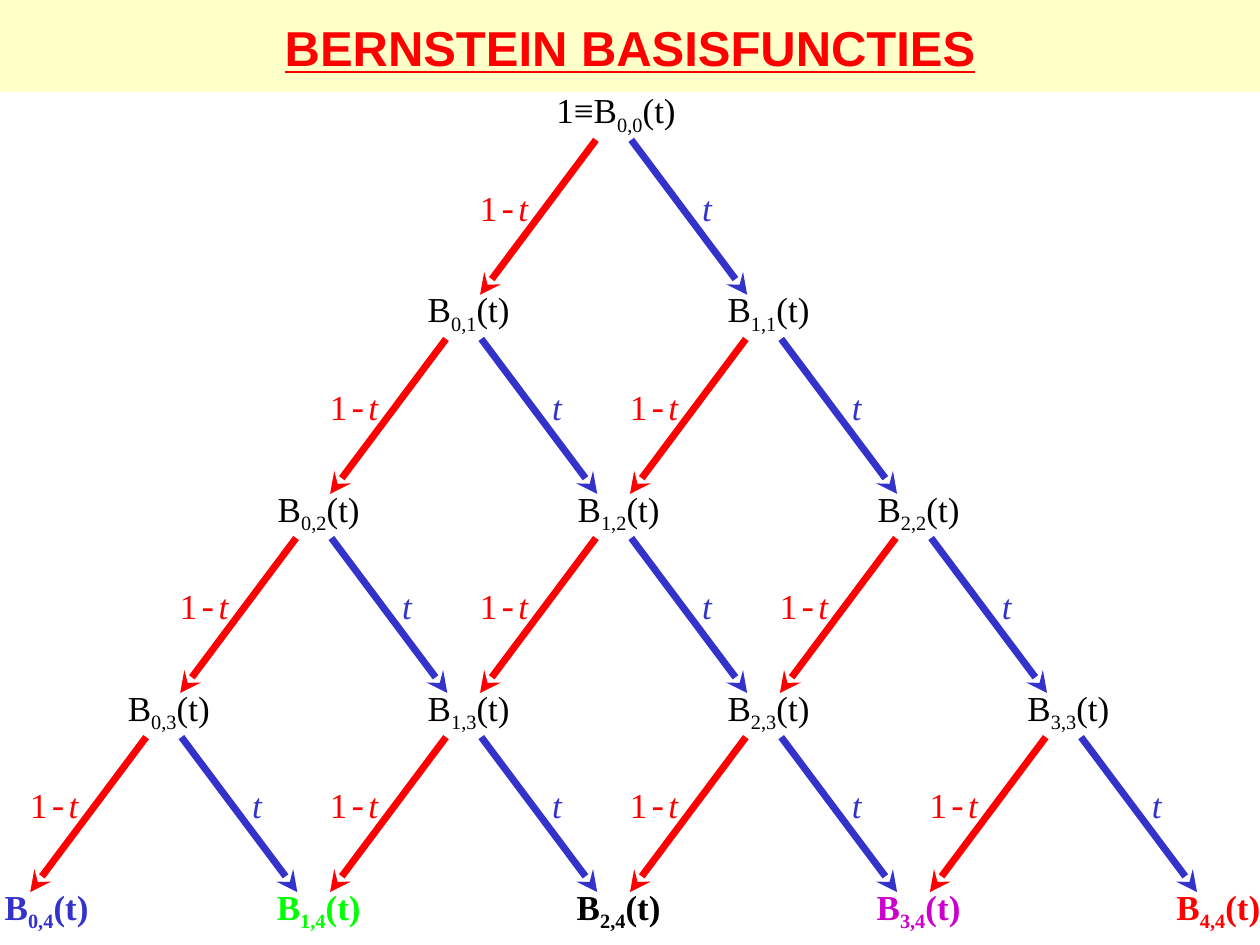
import dataclasses

import lxml.etree
import pptx
import pptx.dml.color
import pptx.enum.shapes
import pptx.enum.text
import pptx.oxml.ns
import pptx.util

Inches = pptx.util.Inches


@dataclasses.dataclass(frozen=True)
class Theme:
    band: str = "FFFFC8"
    red: str = "FF0000"
    blue: str = "3333CC"
    black: str = "000000"
    last_row: tuple = ("3333CC", "00FF00", "000000", "CC00CC", "FF0000")
    title_font: str = "Arial"
    body_font: str = "Times New Roman"
    minus_font: str = "Courier New"
    title_size: int = 28
    body_size: int = 20
    arrow_width: int = 4


THEME = Theme()
DEGREE = 4
APEX_X, APEX_Y = 4.87, 1.11
STEP_X, STEP_Y = 2.38, 1.58
ARROW_START, ARROW_END, ARROW_DROP = 0.14, 1.06, 1.23
BOX_HEIGHT = 0.43


def rgb(value):
    return pptx.dml.color.RGBColor.from_string(value)


def node_origin(index, level):
    return APEX_X + (index - level / 2) * STEP_X, APEX_Y + level * STEP_Y


def add_band(shapes):
    band = shapes.add_shape(
        pptx.enum.shapes.MSO_SHAPE.RECTANGLE, 0, 0, Inches(10), Inches(0.73))
    band.shadow.inherit = False
    band.fill.solid()
    band.fill.fore_color.rgb = rgb(THEME.band)
    band.line.fill.background()


def add_text(shapes, left, top, width, height, parts, color):
    box = shapes.add_textbox(Inches(left), Inches(top), Inches(width), Inches(height))
    frame = box.text_frame
    frame.word_wrap = False
    frame.auto_size = pptx.enum.text.MSO_AUTO_SIZE.SHAPE_TO_FIT_TEXT
    frame.vertical_anchor = pptx.enum.text.MSO_ANCHOR.MIDDLE
    para = frame.paragraphs[0]
    para.alignment = pptx.enum.text.PP_ALIGN.CENTER
    for part in parts:
        span = para.add_run()
        span.text = part
        span.font.name = THEME.body_font
        span.font.size = pptx.util.Pt(THEME.body_size)
        span.font.color.rgb = rgb(color)
    return box


def add_title(shapes, text):
    box = add_text(shapes, 0, 0, 10, 0.75, [text], THEME.red)
    box.text_frame.auto_size = pptx.enum.text.MSO_AUTO_SIZE.NONE
    box.text_frame.word_wrap = True
    font = box.text_frame.paragraphs[0].runs[0].font
    font.name = THEME.title_font
    font.size = pptx.util.Pt(THEME.title_size)
    font.bold = True
    font.underline = True


def add_node(shapes, index, level, color, bold=False, prefix="", shift=0.04):
    x, y = node_origin(index, level)
    width = 1.16 if prefix else 0.87
    parts = [f"{prefix}B", f"{index},{level}", "(t)"]
    box = add_text(shapes, x + shift - width / 2, y - BOX_HEIGHT, width,
                   BOX_HEIGHT, parts, color)
    spans = box.text_frame.paragraphs[0].runs
    for span in spans:
        span.font.bold = bold
    spans[1]._r.get_or_add_rPr().set("baseline", "-25000")


def add_arrow(shapes, index, level, side, color):
    x, y = node_origin(index, level)
    arrow = shapes.add_connector(
        pptx.enum.shapes.MSO_CONNECTOR.STRAIGHT,
        Inches(x + side * ARROW_START), Inches(y),
        Inches(x + side * ARROW_END), Inches(y + ARROW_DROP))
    arrow.line.color.rgb = rgb(color)
    arrow.line.width = pptx.util.Pt(THEME.arrow_width)
    qn = pptx.oxml.ns.qn
    lxml.etree.SubElement(arrow.line._get_or_add_ln(), qn("a:tailEnd"), type="stealth")
    lxml.etree.SubElement(arrow._element.spPr, qn("a:effectLst"))


def add_weight(shapes, index, level, offset, width, parts, color):
    x, y = node_origin(index, level)
    box = add_text(shapes, x + offset, y + 0.32, width, BOX_HEIGHT, parts, color)
    spans = box.text_frame.paragraphs[0].runs
    spans[-1].font.italic = True
    if len(spans) > 1:
        spans[1].font.name = THEME.minus_font


def add_branches(shapes, index, level):
    add_arrow(shapes, index, level, -1, THEME.red)
    add_arrow(shapes, index, level, 1, THEME.blue)
    add_weight(shapes, index, level, -1.16, 0.58, ["1", "-", "t"], THEME.red)
    add_weight(shapes, index, level, 0.6, 0.28, ["t"], THEME.blue)


def add_level(page, level):
    shapes = page.shapes.add_group_shape().shapes
    for index in range(level):
        add_branches(shapes, index, level - 1)
    last = level == DEGREE
    for index in range(level + 1):
        color = THEME.last_row[index] if last else THEME.black
        shift = 0.26 if last and index == 0 else 0.04
        add_node(shapes, index, level, color, bold=last, shift=shift)


def main():
    deck = pptx.Presentation()
    deck.slide_width, deck.slide_height = Inches(10), Inches(7.5)
    page = deck.slides.add_slide(deck.slide_layouts[6])
    add_band(page.shapes)
    add_title(page.shapes, "BERNSTEIN BASISFUNCTIES")
    add_node(page.shapes, 0, 0, THEME.black, prefix="1≡", shift=0.02)
    for level in range(1, DEGREE + 1):
        add_level(page, level)
    deck.save("out.pptx")


if __name__ == "__main__":
    main()
